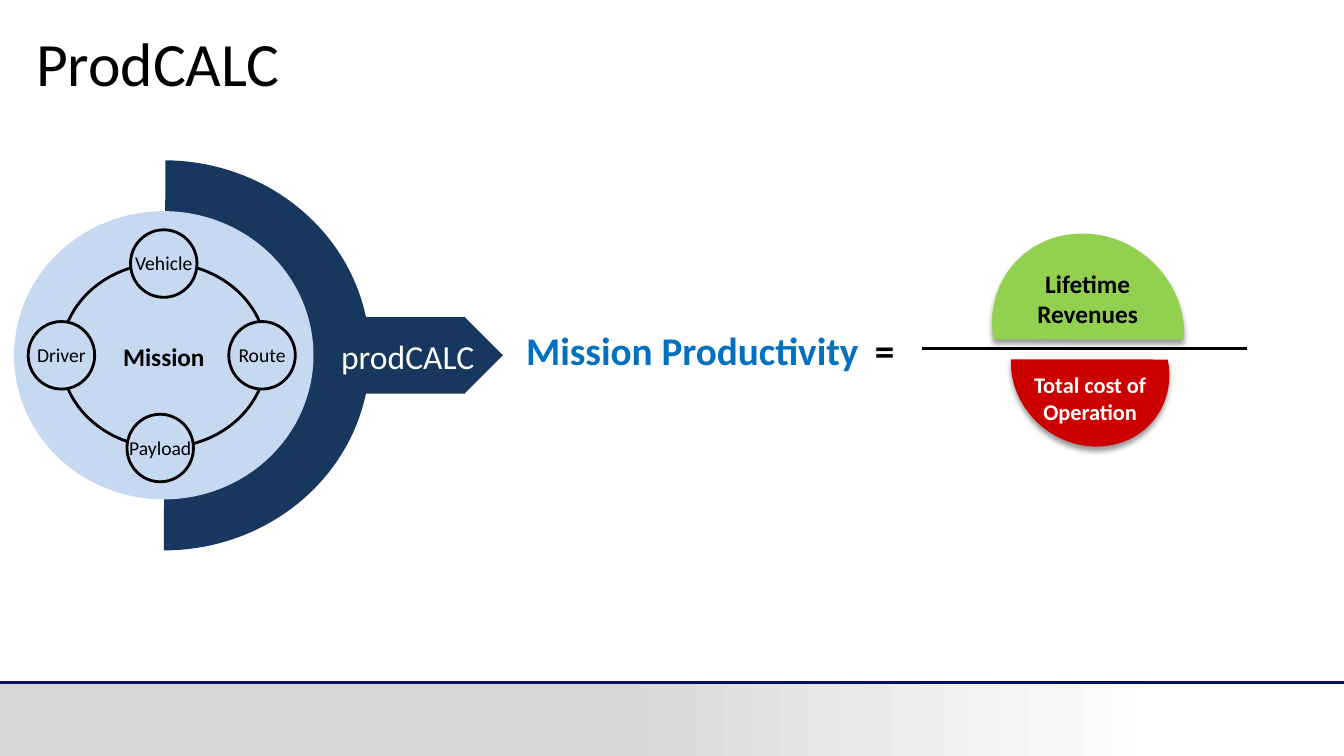
from collections import namedtuple

from lxml import etree
from pptx import Presentation
from pptx.dml.color import RGBColor
from pptx.enum.shapes import MSO_CONNECTOR as Connector, MSO_SHAPE as Shape
from pptx.enum.text import PP_ALIGN as Align
from pptx.oxml import parse_xml
from pptx.oxml.ns import nsdecls, qn
from pptx.util import Inches, Pt

COLORS = {
    "black": "000000", "white": "FFFFFF", "gray": "D7D8D6", "rule": "000F60",
    "navy": "17375E", "pale": "C6D9F1", "blue": "0070C0",
    "green": "92D050", "red": "CC0000",
}
FONT = "Calibri"
COLUMNS, ROWS = 133.33, 75
Box = namedtuple("Box", "left top width height")


def cells(count):
    return Inches(count / 10)


def color(name):
    return RGBColor.from_string(COLORS[name])


def centered(x, y, width, height):
    return Box(x - width / 2, y - height / 2, width, height)


def add_figure(page, kind, box, fill=None, line=None, adjust=(), turn=0):
    figure = page.shapes.add_shape(kind, *map(cells, box))
    figure.shadow.inherit = False
    figure.rotation = turn
    for index, value in enumerate(adjust):
        figure.adjustments[index] = value
    if fill:
        figure.fill.solid()
        figure.fill.fore_color.rgb = color(fill)
    else:
        figure.fill.background()
    if line:
        figure.line.color.rgb = color(line)
        figure.line.width = Pt(2)
    else:
        figure.line.fill.background()
    return figure


def add_shadow(figure):
    effects = figure._element.spPr.find(qn("a:effectLst"))
    effects.append(parse_xml(
        f'<a:outerShdw {nsdecls("a")} blurRad="{Pt(4)}" dist="{Pt(3)}" '
        'dir="5400000" rotWithShape="0"><a:srgbClr val="000000">'
        '<a:alpha val="40000"/></a:srgbClr></a:outerShdw>'))


def add_rule(page, left, right, y, name, width):
    rule = page.shapes.add_connector(
        Connector.STRAIGHT, cells(left), cells(y), cells(right), cells(y))
    rule.line.color.rgb = color(name)
    rule.line.width = Pt(width)
    etree.SubElement(rule._element.spPr, qn("a:effectLst"))


def add_text(page, box, spans, size, bold=False, align=Align.CENTER, tab=None):
    frame = page.shapes.add_textbox(*map(cells, box)).text_frame
    frame.word_wrap = True
    para = frame.paragraphs[0]
    para.alignment = align
    if tab:
        stops = etree.SubElement(para._p.get_or_add_pPr(), qn("a:tabLst"))
        etree.SubElement(stops, qn("a:tab"), pos=str(cells(tab)), algn="l")
    for text, name in spans:
        span = para.add_run()
        span.text = text
        span.font.name = FONT
        span.font.size = Pt(size)
        span.font.bold = bold
        span.font.color.rgb = color(name)
    return para


def draw_footer(page, box):
    add_figure(page, Shape.RECTANGLE, box._replace(width=61.3), "gray")
    fade = add_figure(page, Shape.RECTANGLE, box._replace(left=61, width=54.7))
    fade.fill.gradient()
    fade.fill.gradient_angle = 0
    for stop, name in zip(fade.fill.gradient_stops, ("gray", "white")):
        stop.color.rgb = color(name)
    add_rule(page, box.left, box.left + box.width, box.top, "rule", 2)


def draw_title(page, box):
    para = add_text(page, box, [("ProdCALC", "black")], 44, align=Align.LEFT)
    para.line_spacing = 0.9


def draw_equation(page, box):
    spans = [("Mission Productivity\t", "blue"), ("=", "black")]
    add_text(page, box, spans, 28, True, Align.LEFT, tab=34.6)


def draw_fraction(page, box):
    middle, bar = box.left + box.width / 2, box.top + 11.8
    halves = [
        ("Total cost of Operation", "red", "white", 16, 308.1,
         centered(middle + 0.55, bar + 2, 14.9, 16.2),
         centered(middle + 0.55, bar + 4.9, 13.7, 6.4)),
        ("Lifetime Revenues", "green", "black", 18, 128.2,
         centered(middle + 0.35, bar - 2.05, 18.3, 19.5),
         centered(middle + 0.3, bar - 5.45, 13, 6.1)),
    ]
    add_rule(page, box.left, box.left + box.width, bar, "black", 2.25)
    for text, fill, ink, size, turn, area, label in halves:
        half = add_figure(page, Shape.CHORD, area, fill,
                          adjust=(27, 143.231), turn=turn)
        add_shadow(half)
        add_text(page, label, [(text, ink)], size, True)


def draw_mission(page, box):
    x, y = box.left + 16.25, box.top + box.height / 2
    add_figure(page, Shape.CHORD, centered(x, y, 40.9, box.height), "navy",
               adjust=(54.283, 162), turn=180)
    add_figure(page, Shape.RIGHT_ARROW,
               centered(box.left + box.width - 7.15, y, 14.3, 7.7), "navy",
               adjust=(0.985, 0.5))
    add_figure(page, Shape.OVAL, centered(x, y, 29.7, 28.6), "pale")
    add_text(page, centered(x, y, 11.1, 3.8), [("Mission", "black")], 18, True)
    add_text(page, centered(x + 24.2, y, 17.3, 4.8), [("prodCALC", "white")], 24)
    add_figure(page, Shape.OVAL, centered(x, y, 20.4, 18.3), line="black")
    factors = [("Vehicle", 0, -9.1), ("Route", 9.75, 0),
               ("Payload", -0.35, 9.2), ("Driver", -10.15, 0)]
    for text, across, down in factors:
        center = x + across, y + down
        add_figure(page, Shape.OVAL, centered(*center, 6.6, 6.7), "pale", "black")
        add_text(page, centered(*center, 9, 3.4), [(text, "black")], 14)


def main():
    deck = Presentation()
    deck.slide_width, deck.slide_height = cells(COLUMNS), cells(ROWS)
    page = deck.slides.add_slide(deck.slide_layouts[6])
    draw_footer(page, Box(0, 67.7, COLUMNS, 7.3))
    draw_title(page, Box(2.6, 2.8, 115, 14.5))
    draw_equation(page, Box(51.2, 31.9, 41.5, 5.7))
    draw_fraction(page, Box(91.5, 22.8, 32.2, 22))
    draw_mission(page, Box(0, 15.9, 49.9, 38.7))
    deck.save("out.pptx")


if __name__ == "__main__":
    main()
